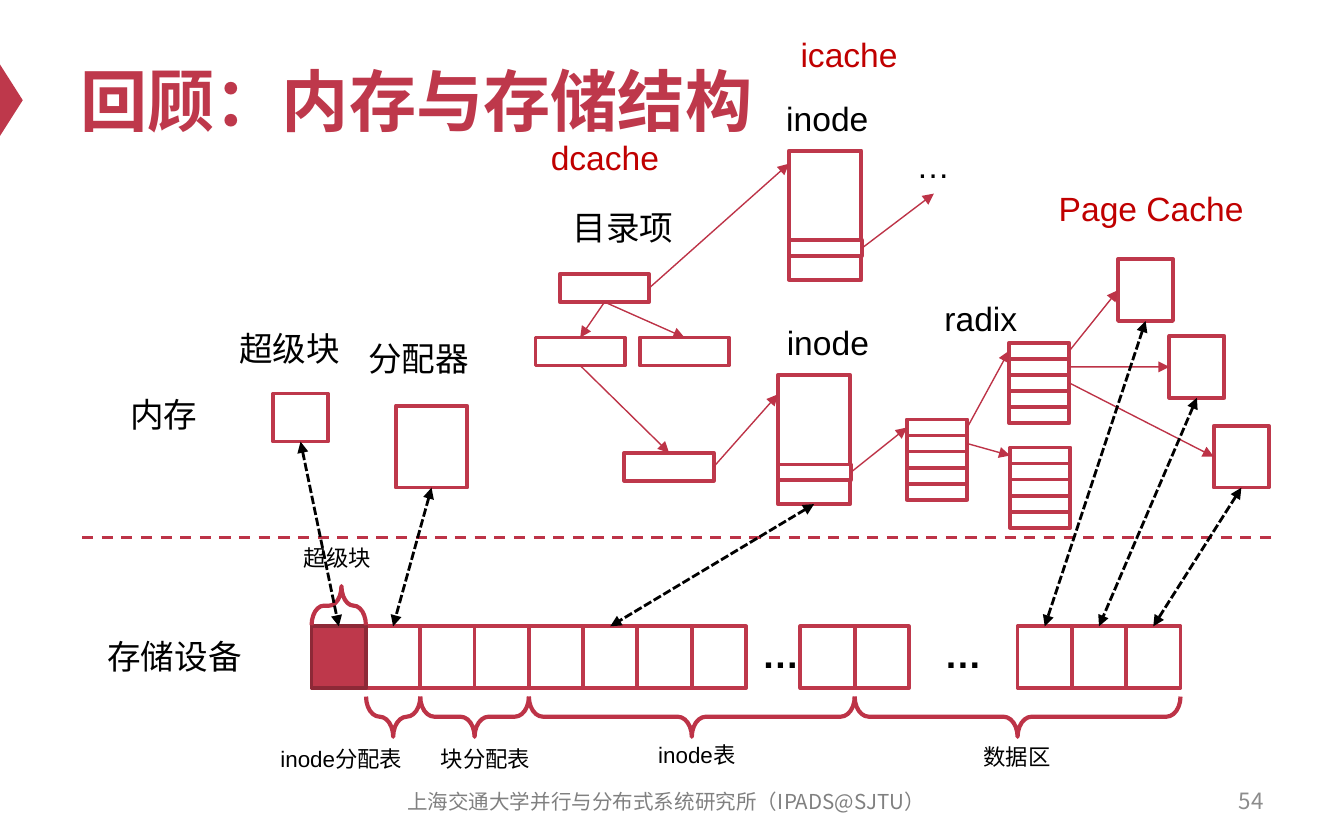
from collections import namedtuple

from pptx import Presentation
from pptx.dml.color import RGBColor
from pptx.enum.dml import MSO_LINE
from pptx.enum.shapes import MSO_CONNECTOR, MSO_SHAPE
from pptx.enum.text import MSO_ANCHOR, MSO_AUTO_SIZE, PP_ALIGN
from pptx.oxml.ns import qn
from pptx.util import Cm, Pt
from lxml.etree import SubElement

Box = namedtuple("Box", "left top width height")
RED, WIRE_RED, DARK_RED = "BE384B", "BD3347", "8D2937"
CACHE_RED, BLACK, WHITE = "C00000", "000000", "FFFFFF"
CJK = "Noto Sans CJK SC"


def color(hex_code):
    """Turn a hex string into a colour."""
    return RGBColor.from_string(hex_code)


def inner(box, x, y, width, height):
    """Give the box placed at x, y inside another box."""
    return Box(box.left + x, box.top + y, width, height)


def point(box, across, down):
    """Give the point at two fractions of a box."""
    return box.left + across * box.width, box.top + down * box.height


def add_text(slide, box, text, size, hex_code=BLACK, font="Arial", bold=None,
             align=None, anchor=None, wrap=False):
    """Write one line of text into a text box."""
    area = slide.shapes.add_textbox(*map(Cm, box))
    frame = area.text_frame
    frame.word_wrap = wrap
    frame.auto_size = MSO_AUTO_SIZE.NONE if anchor else MSO_AUTO_SIZE.SHAPE_TO_FIT_TEXT
    frame.vertical_anchor = anchor
    paragraph = frame.paragraphs[0]
    paragraph.alignment = align
    run = paragraph.add_run()
    run.text = text
    run.font.name, run.font.size, run.font.bold = font, Pt(size), bold
    run.font.color.rgb = color(hex_code)
    if max(text) >= "一":
        SubElement(run.font._element, qn("a:ea"), typeface=CJK)


def add_caption(slide, box, x, y, width, text, hex_code=BLACK):
    """Write a large caption at x, y from the corner of a box."""
    add_text(slide, inner(box, x, y, width, 1.02), text, 18, hex_code)


def add_cell(slide, box, fill=WHITE, line=RED):
    """Draw one outlined cell and return its box."""
    cell = slide.shapes.add_shape(MSO_SHAPE.RECTANGLE, *map(Cm, box))
    cell.shadow.inherit = False
    cell.fill.solid()
    cell.fill.fore_color.rgb = color(fill)
    cell.line.color.rgb = color(line)
    cell.line.width = Pt(2)
    return box


def add_wire(slide, start, end, hex_code=WIRE_RED, width=0.75, dash=None, ends=("tailEnd",)):
    """Draw a straight line with arrowheads at the named ends."""
    wire = slide.shapes.add_connector(MSO_CONNECTOR.STRAIGHT, *map(Cm, start + end))
    wire.line.color.rgb = color(hex_code)
    wire.line.width = Pt(width)
    if dash:
        wire.line.dash_style = dash
    for end_tag in ends:
        SubElement(wire.line._get_or_add_ln(), qn("a:" + end_tag), type="triangle")
    SubElement(wire._element.spPr, qn("a:effectLst"))


def add_brace(slide, box, rotation=90, tip=0.5):
    """Draw a brace that lies along the width of a box."""
    shift = (box.width - box.height) / 2
    turned = inner(box, shift, -shift, box.height, box.width)
    brace = slide.shapes.add_shape(MSO_SHAPE.RIGHT_BRACE, *map(Cm, turned))
    brace.rotation = rotation
    brace.adjustments[0], brace.adjustments[1] = 0.35, tip
    brace.shadow.inherit = False
    brace.fill.background()
    brace.line.color.rgb = color(WIRE_RED)
    brace.line.width = Pt(2.25)


def draw_header(slide, box):
    """Draw the page marker and the title."""
    marker = slide.shapes.add_shape(
        MSO_SHAPE.ISOSCELES_TRIANGLE, *map(Cm, inner(box, -0.46, 1.68, 1.35, 0.43)))
    marker.rotation = 90
    marker.shadow.inherit = False
    marker.fill.solid()
    marker.fill.fore_color.rgb = color(RED)
    marker.line.fill.background()
    add_text(slide, inner(box, 1.27, 0.64, 22.86, 2.49), "回顾：内存与存储结构", 36, RED,
             bold=True, anchor=MSO_ANCHOR.MIDDLE, wrap=True)


def draw_footer(slide, box):
    """Write the institute and the page number."""
    add_text(slide, inner(box, 7.09, 0, 11, box.height), "上海交通大学并行与分布式系统研究所（IPADS@SJTU）",
             11, "808080", CJK, align=PP_ALIGN.CENTER, anchor=MSO_ANCHOR.MIDDLE, wrap=True)
    add_text(slide, inner(box, 18.21, 0, 5.92, box.height), "54", 12, "8C8C8C", CJK,
             align=PP_ALIGN.RIGHT, anchor=MSO_ANCHOR.MIDDLE, wrap=True)


def draw_storage(slide, box):
    """Draw the row of disk blocks and return the blocks by slot."""
    pitch = box.width / 16
    slots = [*range(1, 8), 0, 9, 10, 13, 14, 15]
    blocks = {}
    for slot in slots:
        fill, line = (WHITE, RED) if slot else (RED, DARK_RED)
        blocks[slot] = add_cell(slide, inner(box, slot * pitch, 0, pitch, box.height), fill, line)
    for first, last in [(1, 2), (2, 4), (4, 10), (10, 16)]:
        add_brace(slide, inner(box, first * pitch, 1.33, (last - first) * pitch, 0.76))
    add_brace(slide, inner(box, 0, -0.76, pitch, 0.74), 270, 0.55)
    for text, x, y, width, wrap in [
            ("超级块", -0.4, -1.68, 1.8, False), ("inode分配表", -0.84, 2.13, 2.84, True),
            ("块分配表", 2.19, 2.13, 2.24, False), ("inode表", 6.3, 2.05, 1.98, True),
            ("数据区", 12.45, 2.08, 1.8, False)]:
        add_text(slide, inner(box, x, y, width, 0.76), text, 12, wrap=wrap)
    for x in (8.26, 11.71):
        add_text(slide, inner(box, x, -0.03, 1.22, 1.12), "…", 20, bold=True)
    add_caption(slide, box, -4.11, 0.05, 3.07, "存储设备")
    return blocks


def draw_allocation(slide, box):
    """Draw the superblock and the allocator in memory."""
    add_caption(slide, box, -2.95, -0.12, 1.8, "内存")
    add_caption(slide, box, -0.89, -1.37, 2.44, "超级块")
    add_caption(slide, box, 1.55, -1.17, 2.44, "分配器")
    return (add_cell(slide, inner(box, 0, 0, 1.04, 0.91)),
            add_cell(slide, inner(box, 2.32, 0.23, 1.35, 1.55)))


def draw_dentries(slide, box):
    """Draw the directory tree and return its root and leaf."""
    add_caption(slide, box, 0.04, -2.72, 2.59, "dcache", CACHE_RED)
    add_caption(slide, box, 0.45, -1.4, 2.46, "目录项")
    root, left, right, leaf = [
        add_cell(slide, inner(box, x, y, 1.69, 0.53))
        for x, y in [(0.46, 0), (0, 1.2), (1.97, 1.2), (1.68, 3.38)]]
    for parent, child in [(root, left), (root, right), (left, leaf)]:
        add_wire(slide, point(parent, 0.5, 1), point(child, 0.5, 0))
    return root, leaf


def draw_inode(slide, box, caption_x):
    """Draw an inode and return its pointer field."""
    add_caption(slide, box, caption_x, -1.13, 2.08, "inode")
    add_cell(slide, box)
    return add_cell(slide, inner(box, 0.01, 1.69, box.width, 0.3))


def draw_radix_node(slide, box):
    """Draw a node of five equal rows and return the rows."""
    height = box.height / 5
    return [add_cell(slide, inner(box, 0, row * height, box.width, height)) for row in range(5)]


def draw_page_cache(slide, box):
    """Draw the radix tree with its pages; return the entry row and the pages."""
    add_caption(slide, box, 0.46, -0.97, 1.9, "radix")
    add_caption(slide, box, 2.62, -3.05, 4.04, "Page Cache", CACHE_RED)
    root, upper, lower = [draw_radix_node(slide, inner(box, x, y, 1.14, 1.52))
                          for x, y in [(0, 1.45), (1.93, 0), (1.95, 1.98)]]
    pages = [add_cell(slide, inner(box, x, y, 1.04, 1.17))
             for x, y in [(3.99, -1.58), (4.96, -0.13), (5.8, 1.57)]]
    for row, target in [(root[0], upper[0]), (root[1], lower[0]), *zip(upper, pages)]:
        add_wire(slide, point(row, 1, 0.5), point(target, 0, 0.5))
    return root[0], pages


def draw_memory(slide, box):
    """Draw all memory structures and return those backed by disk blocks."""
    superblock, allocator = draw_allocation(slide, inner(box, 5.16, 7.44, 3.67, 1.78))
    root, leaf = draw_dentries(slide, inner(box, 10.12, 5.18, 3.66, 3.91))
    upper = inner(box, 14.91, 2.85, 1.37, 2.44)
    lower = inner(box, 14.7, 7.09, 1.37, 2.44)
    upper_field = draw_inode(slide, upper, -0.3)
    lower_field = draw_inode(slide, lower, -0.08)
    entry, pages = draw_page_cache(slide, inner(box, 17.14, 6.48, 6.84, 3.5))
    add_caption(slide, box, 14.88, 0.51, 2.36, "icache", CACHE_RED)
    add_caption(slide, box, 17.07, 2.62, 1.14, "…")
    add_wire(slide, point(root, 1, 0.5), point(upper, 0, 0.1))
    add_wire(slide, point(leaf, 1, 0.5), point(lower, 0, 0.15))
    add_wire(slide, point(upper_field, 1, 0.5), (box.left + 17.65, box.top + 3.66))
    add_wire(slide, point(lower_field, 1, 0.5), point(entry, 0, 0.5))
    return [superblock, allocator, lower, *pages]


def main():
    """Build the slide and save it."""
    deck = Presentation()
    deck.slide_width, deck.slide_height = Cm(25.4), Cm(15.88)
    slide = deck.slides.add_slide(deck.slide_layouts[6])
    draw_header(slide, Box(0, 0, 25.4, 3.13))
    draw_footer(slide, Box(0, 14.72, 25.4, 0.84))
    blocks = draw_storage(slide, Box(5.89, 11.84, 16.42, 1.17))
    add_wire(slide, (1.55, 10.16), (24.18, 10.16), WIRE_RED, 1.5, MSO_LINE.DASH, ())
    backed = draw_memory(slide, Box(0, 0, 25.4, 10.16))
    for structure, slot in zip(backed, [0, 1, 5, 13, 14, 15]):
        add_wire(slide, point(structure, 0.5, 1), point(blocks[slot], 0.5, 0), BLACK, 1.5,
                 MSO_LINE.SQUARE_DOT, ("headEnd", "tailEnd"))
    deck.save("out.pptx")


if __name__ == "__main__":
    main()
